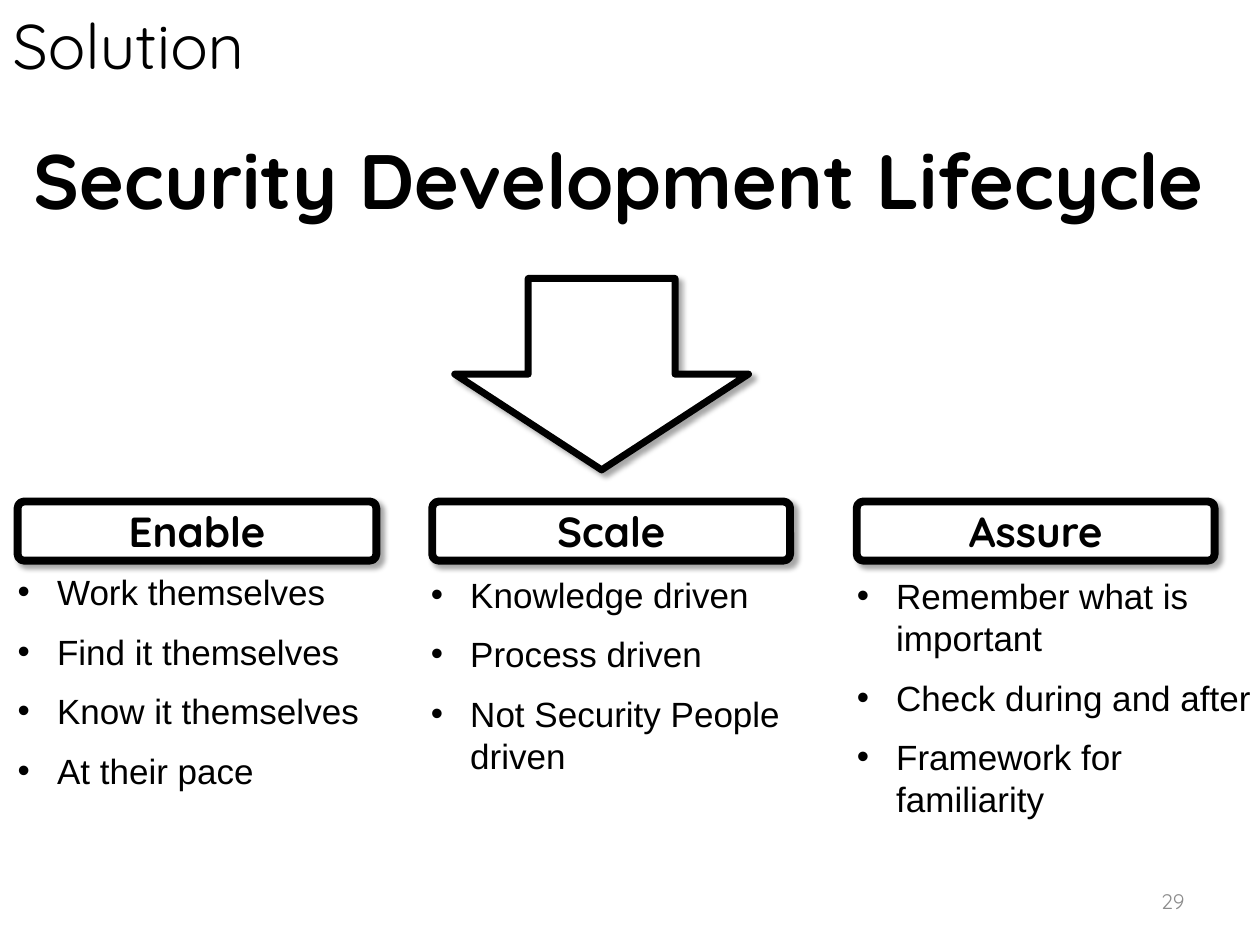
from lxml import etree
from pptx import Presentation
from pptx.dml.color import RGBColor
from pptx.enum.shapes import MSO_SHAPE
from pptx.enum.text import MSO_ANCHOR, MSO_AUTO_SIZE, PP_ALIGN
from pptx.oxml.ns import qn
from pptx.util import Pt

ROUNDED = MSO_SHAPE.ROUNDED_RECTANGLE
DOWN_ARROW = MSO_SHAPE.DOWN_ARROW
TOP, MIDDLE = MSO_ANCHOR.TOP, MSO_ANCHOR.MIDDLE
LEFT, CENTER, RIGHT = PP_ALIGN.LEFT, PP_ALIGN.CENTER, PP_ALIGN.RIGHT
NO_AUTOFIT = MSO_AUTO_SIZE.NONE
COMPARISON_LAYOUT = 5 - 1

COLORS = {"ink": "000000", "paper": "FFFFFF", "muted": "8C8C8C"}
HEADING_FONT, BODY_FONT = "Quicksand", "Arial"
LIST_INDENT = 22.5

PILLARS = [
    ("Enable", (10.08, 205), (10.08, 326.2, 228.2, 154),
     ["Work themselves", "Find it themselves", "Know it themselves", "At their pace"]),
    ("Scale", (247, 204.5), (246.2, 327.6, 206, 144),
     ["Knowledge driven", "Process driven", "Not Security People driven"]),
    ("Assure", (489.6, 204.5), (489.6, 328.3, 235.4, 168.5),
     ["Remember what is important", "Check during and after", "Framework for familiarity"]),
]


def color(name):
    return RGBColor.from_string(COLORS[name])


def place(shape, left, top, width, height):
    shape.left, shape.top = Pt(left), Pt(top)
    shape.width, shape.height = Pt(width), Pt(height)


def add_run(paragraph, text, size, font=HEADING_FONT, bold=False, ink="ink"):
    run = paragraph.add_run()
    run.text = text
    run.font.name = font
    run.font.size = Pt(size)
    run.font.bold = bold
    run.font.color.rgb = color(ink)


def write_line(shape, text, size, align, anchor=TOP, **style):
    frame = shape.text_frame
    frame.word_wrap = True
    frame.auto_size = NO_AUTOFIT
    frame.vertical_anchor = anchor
    paragraph = frame.paragraphs[0]
    paragraph.alignment = align
    paragraph.space_before = Pt(0)
    add_run(paragraph, text, size, **style)


def add_bullet(paragraph):
    properties = paragraph._p.get_or_add_pPr()
    properties.set("marL", str(Pt(LIST_INDENT)))
    properties.set("indent", str(-Pt(LIST_INDENT)))
    etree.SubElement(properties, qn("a:buFont"), typeface=BODY_FONT)
    etree.SubElement(properties, qn("a:buChar"), char="•")


def fill_list(shape, box, items):
    place(shape, *box)
    frame = shape.text_frame
    frame.word_wrap = True
    frame.auto_size = NO_AUTOFIT
    frame.vertical_anchor = TOP
    frame.margin_left = frame.margin_top = frame.margin_right = frame.margin_bottom = 0
    for number, item in enumerate(items):
        paragraph = frame.add_paragraph() if number else frame.paragraphs[0]
        paragraph.alignment = LEFT
        paragraph.space_before = Pt(10)
        add_bullet(paragraph)
        add_run(paragraph, item, 20, BODY_FONT)


def add_shadow(shape):
    shape.shadow.inherit = False
    effects = shape._element.spPr.find(qn("a:effectLst"))
    shadow = etree.SubElement(effects, qn("a:outerShdw"), blurRad=str(Pt(3.1)),
                              dist=str(Pt(3)), dir="2700000", algn="tl", rotWithShape="0")
    tint = etree.SubElement(shadow, qn("a:srgbClr"), val=COLORS["ink"])
    etree.SubElement(tint, qn("a:alpha"), val="35000")


def add_outlined_shape(slide, kind, box, line_width):
    shape = slide.shapes.add_shape(kind, *map(Pt, box))
    shape.fill.solid()
    shape.fill.fore_color.rgb = color("paper")
    shape.line.color.rgb = color("ink")
    shape.line.width = Pt(line_width)
    add_shadow(shape)
    return shape


def add_pillar_label(slide, text, left, width):
    label = add_outlined_shape(slide, ROUNDED, (left, 286.6, width, 33.8), 4.5)
    label.adjustments[0] = 0.11
    write_line(label, text, 24, CENTER, MIDDLE, bold=True)


def add_page_number(slide, number):
    box = slide.shapes.add_textbox(Pt(516.2), Pt(500.4), Pt(167.8), Pt(28.8))
    write_line(box, number, 12, RIGHT, MIDDLE, ink="muted")


def main():
    presentation = Presentation()
    presentation.slide_width, presentation.slide_height = Pt(720), Pt(540)
    slide = presentation.slides.add_slide(presentation.slide_layouts[COMPARISON_LAYOUT])
    title, headline, *lists = slide.placeholders

    place(title, 0, 0, 499, 51)
    write_line(title, "Solution", 36, LEFT)
    place(headline, 0, 72, 720, 60.5)
    write_line(headline, "Security Development Lifecycle ", 44, CENTER, bold=True)

    add_outlined_shape(slide, DOWN_ARROW, (259.9, 159.1, 167.8, 109.4), 4)
    for list_shape, (name, label_span, list_box, items) in zip(lists, PILLARS):
        add_pillar_label(slide, name, *label_span)
        fill_list(list_shape, list_box, items)
    add_page_number(slide, "29")

    presentation.save("out.pptx")


if __name__ == "__main__":
    main()
